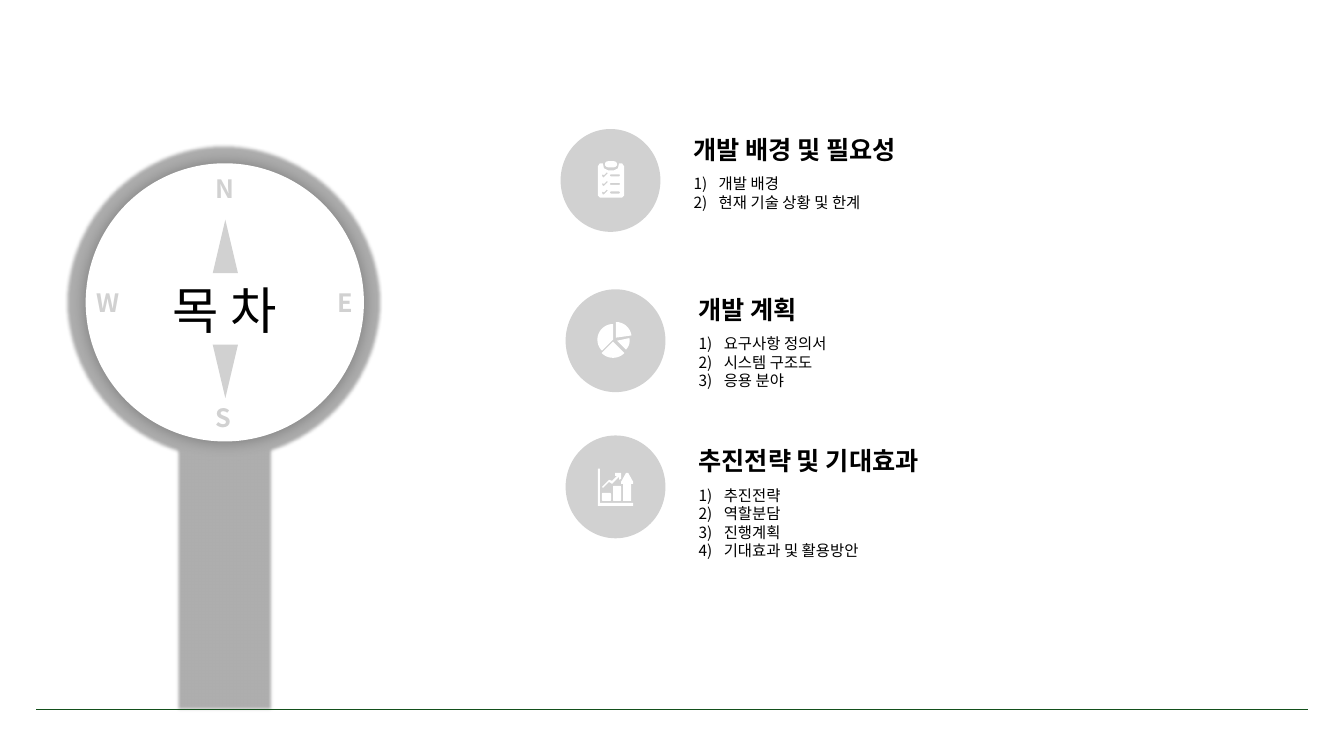
from dataclasses import dataclass
from math import cos, radians, sin

from lxml import etree
from pptx import Presentation
from pptx.dml.color import RGBColor
from pptx.enum.shapes import MSO_CONNECTOR, MSO_SHAPE
from pptx.enum.text import MSO_ANCHOR, MSO_AUTO_SIZE, PP_ALIGN
from pptx.oxml.ns import qn
from pptx.util import Inches, Pt


@dataclass(frozen=True)
class Theme:
    font: str = "Noto Sans CJK KR"
    ink: str = "000000"
    white: str = "FFFFFF"
    pale: str = "D1D1D1"
    grey: str = "AEAEAE"
    rule: str = "13501B"
    heading: int = 36
    title: int = 18
    item: int = 11
    leading: float = 1.2


theme = Theme()


def sector(cx, cy, radius, start, end, steps=16):
    angles = [radians(start + (end - start) * i / steps) for i in range(steps + 1)]
    return [(cx, cy)] + [(cx + radius * cos(a), cy + radius * sin(a)) for a in angles]


def rounded(x, y, w, h, radius):
    corners = [(x + w - radius, y + radius, -90), (x + w - radius, y + h - radius, 0),
               (x + radius, y + h - radius, 90), (x + radius, y + radius, 180)]
    return [pt for cx, cy, a in corners for pt in sector(cx, cy, radius, a, a + 90, 4)[1:]]


def check_mark(y):
    return [(5.97, y), (5.98, y - 0.01), (5.99, y), (6.02, y - 0.03),
            (6.03, y - 0.02), (5.99, y + 0.02), (5.98, y + 0.02)]


row_ys = [1.74 + 0.085 * i for i in range(3)]
board = [(5.95, 1.62), (5.98, 1.62), (5.99, 1.67), (6.03, 1.69), (6.09, 1.69),
         (6.13, 1.67), (6.14, 1.62), (6.17, 1.62), (6.19, 1.65), (6.19, 1.94),
         (6.17, 1.96), (5.95, 1.96), (5.93, 1.94), (5.93, 1.65)]
clipboard_icon = [
    [rounded(6, 1.6, 0.12, 0.06, 0.03)],
    [board] + [check_mark(y) for y in row_ys]
    + [rounded(6.05, y - 0.01, 0.1, 0.02, 0.01) for y in row_ys],
]
pie_icon = [
    [sector(6.11, 3.35, 0.155, -90, -8)],
    [sector(6.08, 3.39, 0.16, 45, 135)],
    [sector(6.12, 3.38, 0.125, -12, 45)],
    [sector(6.08, 3.37, 0.155, 135, 270)],
]
growth_icon = [
    [[(5.97, 4.83), (6.04, 4.76), (6.07, 4.77), (6.12, 4.72), (6.1, 4.72),
      (6.1, 4.69), (6.16, 4.69), (6.16, 4.75), (6.14, 4.76), (6.14, 4.73),
      (6.07, 4.8), (6.04, 4.78), (5.98, 4.84)]],
    [rounded(5.97, 4.89, 0.09, 0.08, 0.01)],
    [rounded(6.08, 4.82, 0.08, 0.15, 0.01)],
    [[(6.18, 4.97), (6.18, 4.8), (6.16, 4.8), (6.16, 4.78), (6.21, 4.69),
      (6.23, 4.69), (6.28, 4.78), (6.28, 4.8), (6.26, 4.8), (6.26, 4.97)]],
    [[(5.93, 4.65), (5.95, 4.65), (5.95, 4.99), (6.28, 4.99), (6.28, 5.02), (5.93, 5.02)]],
]

sections = [
    (5.56, 1.28, 0, "개발 배경 및 필요성", ["개발 배경", "현재 기술 상황 및 한계"], clipboard_icon),
    (5.61, 2.87, 0, "개발 계획", ["요구사항 정의서", "시스템 구조도", "응용 분야"], pie_icon),
    (5.61, 4.32, 0.05, "추진전략 및 기대효과",
     ["추진전략", "역할분담", "진행계획", "기대효과 및 활용방안"], growth_icon),
]
compass_letters = [("N", 2.04, 1.67), ("W", 0.86, 2.8), ("E", 3.25, 2.8), ("S", 2.04, 3.94)]
needles = [(2.18, 0), (3.42, 180)]

prs = Presentation()
prs.slide_width, prs.slide_height = Inches(13.33), Inches(7.5)
s = prs.slides.add_slide(prs.slide_layouts[6])


def paint(sp, color):
    sp.shadow.inherit = False
    sp.fill.solid()
    sp.fill.fore_color.rgb = RGBColor.from_string(color)
    sp.line.fill.background()


def add_preset(kind, x, y, w, h, color):
    sp = s.shapes.add_shape(kind, Inches(x), Inches(y), Inches(w), Inches(h))
    paint(sp, color)
    return sp


def add_outline(contours):
    first, *holes = [[(Inches(x), Inches(y)) for x, y in c] for c in contours]
    fb = s.shapes.build_freeform(*first[0], scale=1.0)
    fb.add_line_segments(first[1:])
    for hole in holes:
        fb.move_to(*hole[0])
        fb.add_line_segments(hole[1:])
    paint(fb.convert_to_shape(), theme.white)


def effects(sp):
    return sp._element.spPr.find(qn("a:effectLst"))


def add_text(lines, x, y, w, h, size, color=theme.ink, bold=False,
             align=PP_ALIGN.LEFT, anchor=MSO_ANCHOR.TOP, numbered=False):
    tf = s.shapes.add_textbox(Inches(x), Inches(y), Inches(w), Inches(h)).text_frame
    tf.word_wrap = True
    tf.auto_size = MSO_AUTO_SIZE.SHAPE_TO_FIT_TEXT
    tf.vertical_anchor = anchor
    for i, line in enumerate(lines):
        p = tf.add_paragraph() if i else tf.paragraphs[0]
        p.alignment = align
        p.line_spacing = Pt(size * theme.leading)
        if numbered:
            pPr = p._p.get_or_add_pPr()
            pPr.set("marL", str(Inches(0.25)))
            pPr.set("indent", str(-Inches(0.25)))
            etree.SubElement(pPr, qn("a:buAutoNum"), type="arabicParenR")
        r = p.add_run()
        r.text = line
        r.font.name = theme.font
        r.font.size = Pt(size)
        r.font.bold = bold
        r.font.color.rgb = RGBColor.from_string(color)
        etree.SubElement(r._r.get_or_add_rPr(), qn("a:ea"), typeface=theme.font)


handle = add_preset(MSO_SHAPE.RECTANGLE, 1.73, 2.42, 0.99, 4.65, theme.grey)
rim = add_preset(MSO_SHAPE.OVAL, 0.64, 1.42, 3.15, 3.15, theme.grey)
for sp in (handle, rim):
    etree.SubElement(effects(sp), qn("a:softEdge"), rad=str(Pt(2.5)))

dial = add_preset(MSO_SHAPE.OVAL, 0.85, 1.62, 2.76, 2.76, theme.white)
glow = etree.SubElement(effects(dial), qn("a:outerShdw"), blurRad=str(Pt(12)),
                        dist="0", dir="0", algn="ctr", rotWithShape="0")
black = etree.SubElement(glow, qn("a:srgbClr"), val=theme.ink)
etree.SubElement(black, qn("a:alpha"), val="30000")

ground = s.shapes.add_connector(MSO_CONNECTOR.STRAIGHT, Inches(0.36), Inches(7.04),
                                Inches(12.97), Inches(7.04))
ground.line.color.rgb = RGBColor.from_string(theme.rule)
ground.line.width = Pt(0.75)
etree.SubElement(ground._element.spPr, qn("a:effectLst"))

for x, y, drop, title, items, icon in sections:
    add_preset(MSO_SHAPE.OVAL, x, y, 0.99, 1.02, theme.pale)
    for contours in icon:
        add_outline(contours)
    text_x, title_y = x + 1.22, y + drop
    add_text(items, text_x, title_y + 0.4, 4.31, 0.1 + 0.185 * len(items),
             theme.item, numbered=True)
    add_text([title], text_x, title_y, 4.3, 0.4, theme.title, bold=True)

add_text(["목 차"], 0.62, 2.71, 3.22, 0.71, theme.heading,
         align=PP_ALIGN.CENTER, anchor=MSO_ANCHOR.MIDDLE)
for letter, x, y in compass_letters:
    add_text([letter], x, y, 0.49, 0.4, theme.title, theme.pale, bold=True)
for y, turn in needles:
    needle = add_preset(MSO_SHAPE.FLOWCHART_EXTRACT, 2.11, y, 0.25, 0.53, theme.pale)
    needle.rotation = turn

prs.save("out.pptx")
